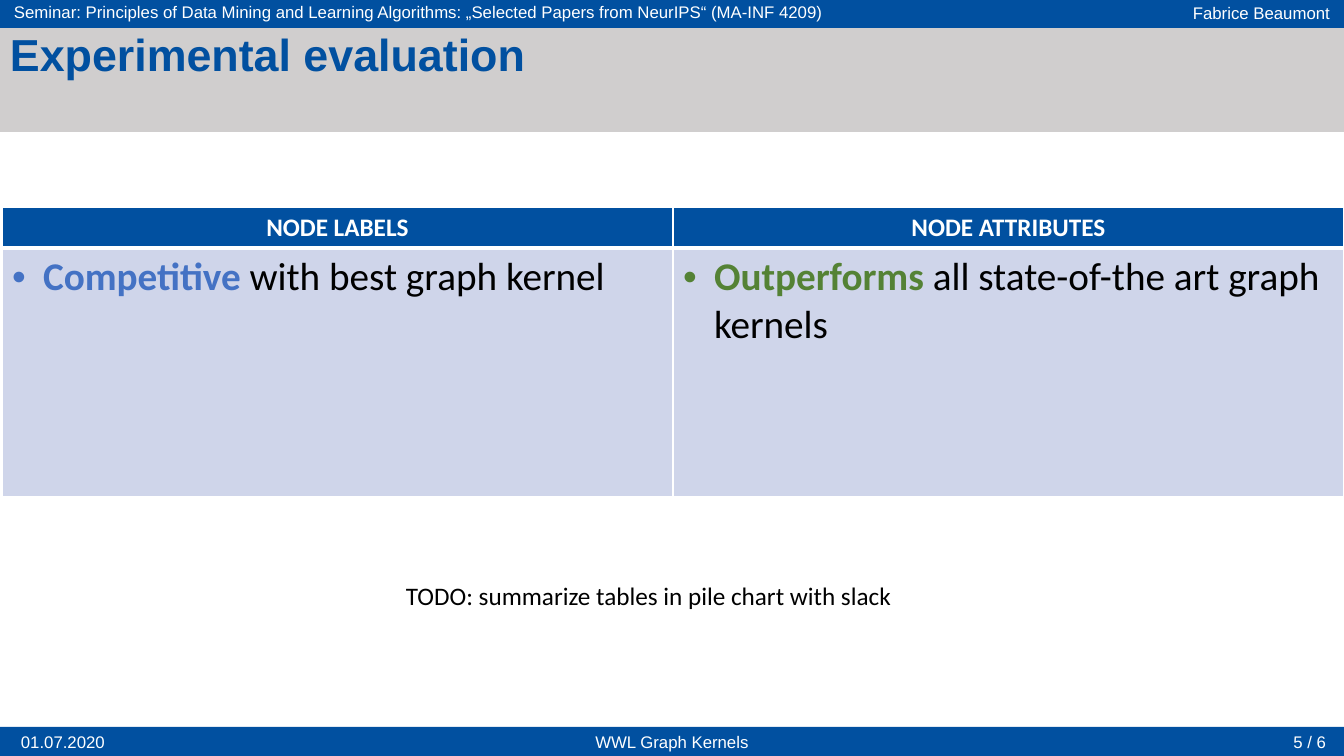
"""Builds the seminar slide on the experimental evaluation of graph kernels."""
from lxml.etree import SubElement
from pptx import Presentation
from pptx.dml.color import RGBColor
from pptx.enum.shapes import MSO_SHAPE
from pptx.enum.text import MSO_ANCHOR, PP_ALIGN
from pptx.oxml.ns import qn
from pptx.util import Pt

PX = 914400 / 100.8
COLORS = {"blue": "0150A0", "gray": "D0CECE", "white": "FFFFFF", "black": "000000",
          "cell": "CFD5EA", "competitive": "4472C4", "outperforms": "548235"}


def px(*lengths):
    return [round(length * PX) for length in lengths]


def add_run(paragraph, text, size, color, font="Calibri", bold=False):
    run = paragraph.add_run()
    run.text = text
    run.font.size = Pt(size)
    run.font.name = font
    run.font.bold = bold
    run.font.color.rgb = RGBColor.from_string(COLORS[color])


presentation = Presentation()
presentation.slide_width, presentation.slide_height = px(1344, 756)
slide = presentation.slides.add_slide(presentation.slide_layouts[6])
shapes = slide.shapes

for top, height, color in [(727, 29, "blue"), (-1, 29, "blue"), (28, 104, "gray")]:
    band = shapes.add_shape(MSO_SHAPE.RECTANGLE, *px(0, top, 1344, height))
    band.shadow.inherit = False
    band.fill.solid()
    band.fill.fore_color.rgb = RGBColor.from_string(COLORS[color])
    band.line.fill.background()

band_texts = [
    ("Fabrice Beaumont", 1049, -2, 291, PP_ALIGN.RIGHT),
    ("01.07.2020", 2, 727, 122, PP_ALIGN.CENTER),
    ("WWL Graph Kernels", 527, 727, 290, PP_ALIGN.CENTER),
    ("Seminar: Principles of Data Mining and Learning Algorithms: "
     "„Selected Papers from NeurIPS“ (MA-INF 4209)", 4, -3, 832, PP_ALIGN.LEFT),
    ("5 / 6", 1244, 727, 92, PP_ALIGN.RIGHT),
]
for text, left, top, width, align in band_texts:
    label = shapes.add_textbox(*px(left, top, width, 29)).text_frame
    label.word_wrap = True
    label.vertical_anchor = MSO_ANCHOR.MIDDLE
    label.paragraphs[0].alignment = align
    add_run(label.paragraphs[0], text, 12, "white", "Arial")

title = shapes.add_textbox(*px(0, 28, 1159, 53)).text_frame
title.word_wrap = True
title.paragraphs[0].line_spacing = 0.9
title.paragraphs[0].space_before = Pt(10)
add_run(title.paragraphs[0], "Experimental evaluation", 32, "blue", "Arial", True)

results = shapes.add_table(2, 2, *px(2, 207, 1342, 290)).table
results.rows[0].height, results.rows[1].height = px(41, 249)
findings = [
    ("NODE LABELS", "Competitive", " with best graph kernel", "competitive"),
    ("NODE ATTRIBUTES", "Outperforms", " all state-of-the art graph kernels", "outperforms"),
]
for column, (heading, verdict, detail, accent) in enumerate(findings):
    results.columns[column].width = px(671)[0]
    for row, fill in enumerate(["blue", "cell"]):
        cell = results.cell(row, column)
        properties = cell._tc.get_or_add_tcPr()
        for side in "LRTB":
            thick = (row, side) in [(0, "B"), (1, "T")]
            border = SubElement(properties, qn(f"a:ln{side}"), w=str(Pt(3 if thick else 1)))
            SubElement(SubElement(border, qn("a:solidFill")), qn("a:srgbClr"),
                       val=COLORS["white"])
        cell.fill.solid()
        cell.fill.fore_color.rgb = RGBColor.from_string(COLORS[fill])

    header = results.cell(0, column).text_frame.paragraphs[0]
    header.alignment = PP_ALIGN.CENTER
    add_run(header, heading, 18, "white", bold=True)

    finding = results.cell(1, column).text_frame.paragraphs[0]
    indent = px(31)[0]
    bullet = finding._p.get_or_add_pPr()
    bullet.set("marL", str(indent))
    bullet.set("indent", str(-indent))
    SubElement(bullet, qn("a:buFont"), typeface="Arial")
    SubElement(bullet, qn("a:buChar"), char="•")
    add_run(finding, verdict, 28, accent, bold=True)
    add_run(finding, detail, 28, "black")

todo = shapes.add_textbox(*px(396, 575, 511, 40)).text_frame
todo.word_wrap = False
add_run(todo.paragraphs[0], "TODO: summarize tables in pile chart with slack", 18, "black")

presentation.save("out.pptx")
